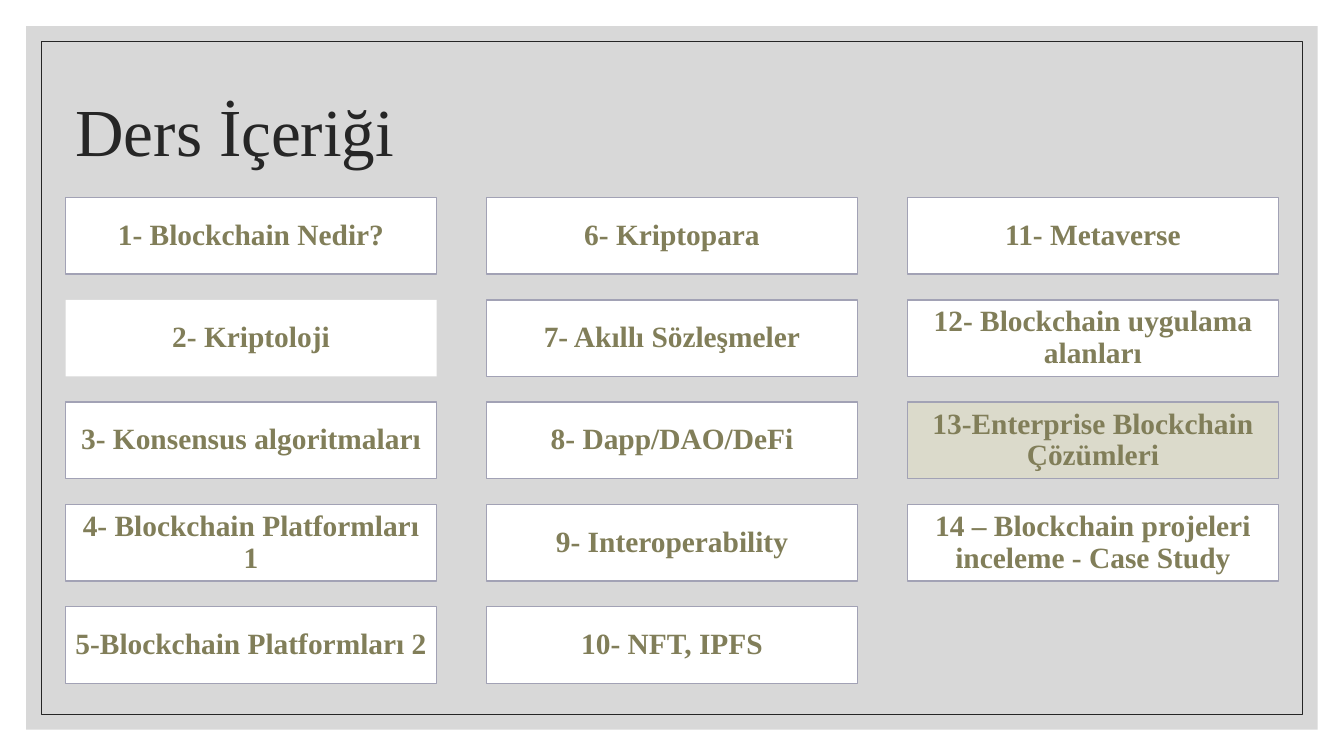
from dataclasses import dataclass

from lxml import etree
from pptx import Presentation
from pptx import util as u
from pptx.dml.color import RGBColor
from pptx.enum import shapes, text
from pptx.oxml.ns import qn


@dataclass(frozen=True)
class Theme:
    """Colours, font and sizes of the deck."""
    font: str = "Times New Roman"
    ink: str = "262626"
    backdrop: str = "BFBFBF"
    backdrop_alpha: int = 60
    card: str = "FFFFFF"
    current: str = "DBDACB"
    edge: str = "A2A2B5"
    label: str = "817E59"
    title_size: int = 48
    label_size: int = 21
    frame_line: float = 0.5
    card_line: float = 1


@dataclass(frozen=True)
class Box:
    """A rectangle in inches."""
    left: float
    top: float
    width: float
    height: float

    def inset(self, gap):
        """Return the box shrunk by the gap on every side."""
        return Box(self.left + gap, self.top + gap,
                   self.width - 2 * gap, self.height - 2 * gap)

    def emu(self):
        """Return the four lengths for python-pptx."""
        return [u.Inches(n) for n in (self.left, self.top, self.width, self.height)]


THEME = Theme()
SLIDE = Box(0, 0, 13.33, 7.5)
ROWS, COLUMNS = 5, 3
CARD_WIDTH, CARD_HEIGHT = 3.68, 0.76
TOPICS = [
    "1- Blockchain Nedir?",
    "2- Kriptoloji",
    "3- Konsensus algoritmaları",
    "4- Blockchain Platformları 1",
    "5-Blockchain Platformları 2",
    "6- Kriptopara",
    "7- Akıllı Sözleşmeler",
    "8- Dapp/DAO/DeFi",
    "9- Interoperability",
    "10- NFT, IPFS",
    "11- Metaverse",
    "12- Blockchain uygulama alanları",
    "13-Enterprise Blockchain Çözümleri",
    "14 – Blockchain projeleri inceleme - Case Study",
]
BORDERLESS, CURRENT = 1, 12


def add_rect(page, box, fill=None, line=None, weight=1):
    """Add a flat rectangle with an optional fill and outline."""
    rect = page.shapes.add_shape(shapes.MSO_SHAPE.RECTANGLE, *box.emu())
    rect.shadow.inherit = False
    if fill:
        rect.fill.solid()
        rect.fill.fore_color.rgb = RGBColor.from_string(fill)
    else:
        rect.fill.background()
    if line:
        rect.line.color.rgb = RGBColor.from_string(line)
        rect.line.width = u.Pt(weight)
    else:
        rect.line.fill.background()
    return rect


def write(shape, words, size, color, align, bold=False):
    """Write one vertically centred paragraph into a shape."""
    frame = shape.text_frame
    frame.word_wrap = True
    frame.vertical_anchor = text.MSO_ANCHOR.MIDDLE
    para = frame.paragraphs[0]
    para.alignment = align
    para.line_spacing = 0.9
    span = para.add_run()
    span.text = words
    span.font.name = THEME.font
    span.font.size = u.Pt(size)
    span.font.bold = bold
    span.font.color.rgb = RGBColor.from_string(color)


def add_backdrop(page, box):
    """Add the translucent panel and the thin frame inside it."""
    panel = add_rect(page, box, fill=THEME.backdrop)
    color = panel.fill.fore_color and panel.element.spPr.find(
        qn("a:solidFill") + "/" + qn("a:srgbClr"))
    alpha = etree.SubElement(color, qn("a:alpha"))
    alpha.set("val", str(THEME.backdrop_alpha * 1000))
    add_rect(page, box.inset(0.15), line=THEME.ink, weight=THEME.frame_line)


def add_title(page, box, words):
    """Add the slide title."""
    title = page.shapes.add_textbox(*box.emu())
    write(title, words, THEME.title_size, THEME.ink, text.PP_ALIGN.LEFT)


def add_card(page, box, words, fill, line):
    """Add one topic card."""
    card = add_rect(page, box, fill, line, THEME.card_line)
    frame = card.text_frame
    frame.margin_left = frame.margin_right = u.Inches(0.08)
    frame.margin_top = frame.margin_bottom = u.Inches(0.09)
    write(card, words, THEME.label_size, THEME.label, text.PP_ALIGN.CENTER, bold=True)


def add_topics(page, box):
    """Lay the topic cards out column by column across the box."""
    across = (box.width - CARD_WIDTH) / (COLUMNS - 1)
    down = (box.height - CARD_HEIGHT) / (ROWS - 1)
    for index, words in enumerate(TOPICS):
        column, row = divmod(index, ROWS)
        place = Box(box.left + column * across, box.top + row * down,
                    CARD_WIDTH, CARD_HEIGHT)
        fill = THEME.current if index == CURRENT else THEME.card
        line = None if index == BORDERLESS else THEME.edge
        add_card(page, place, words, fill, line)


def main():
    """Build and save the deck."""
    deck = Presentation()
    deck.slide_width, deck.slide_height = SLIDE.emu()[2:]
    page = deck.slides.add_slide(deck.slide_layouts[6])
    add_backdrop(page, SLIDE.inset(0.26))
    add_title(page, Box(0.65, 0.59, 11, 1.5), "Ders İçeriği")
    add_topics(page, Box(0.65, 1.96, 12.03, 4.82))
    deck.save("out.pptx")


if __name__ == "__main__":
    main()
